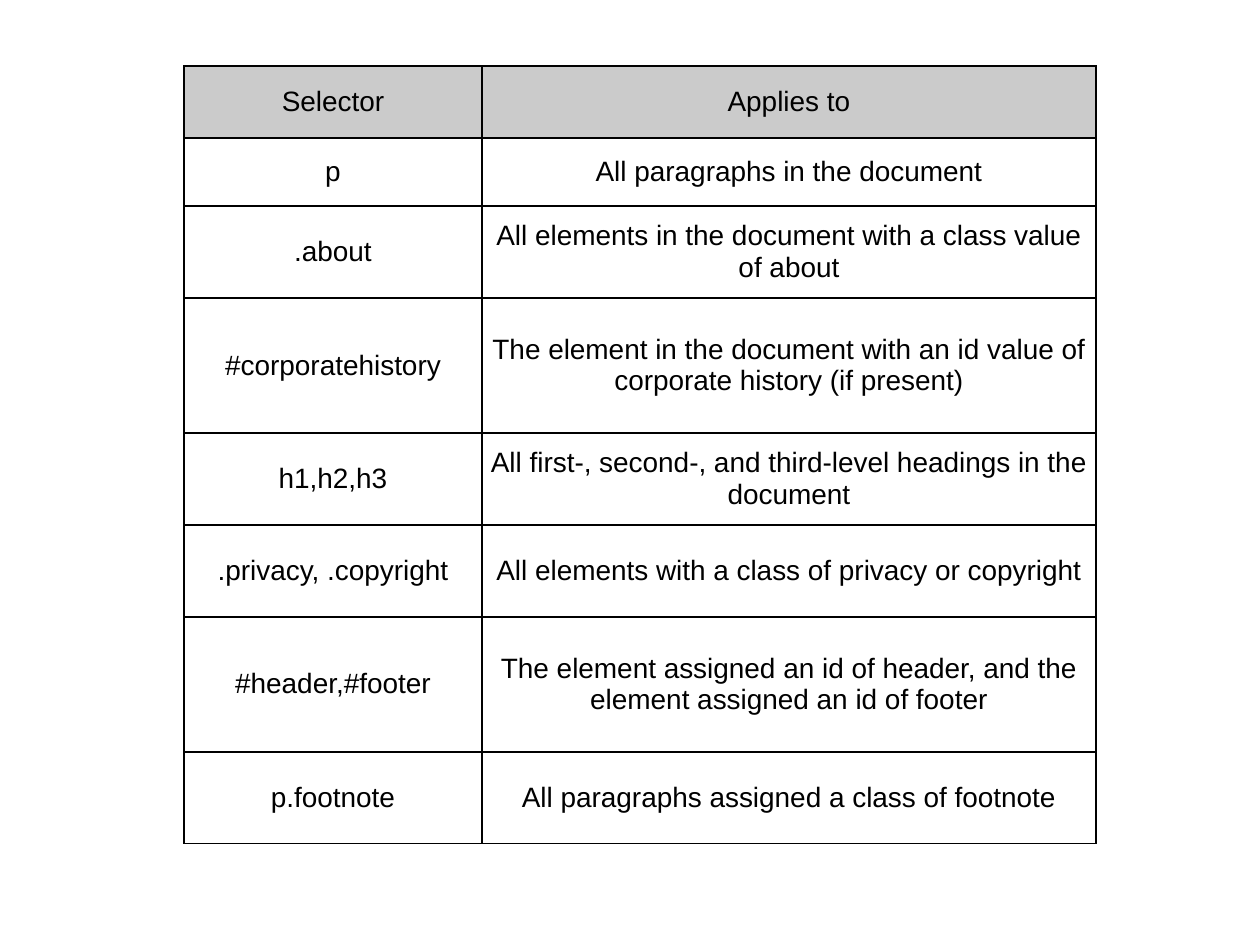
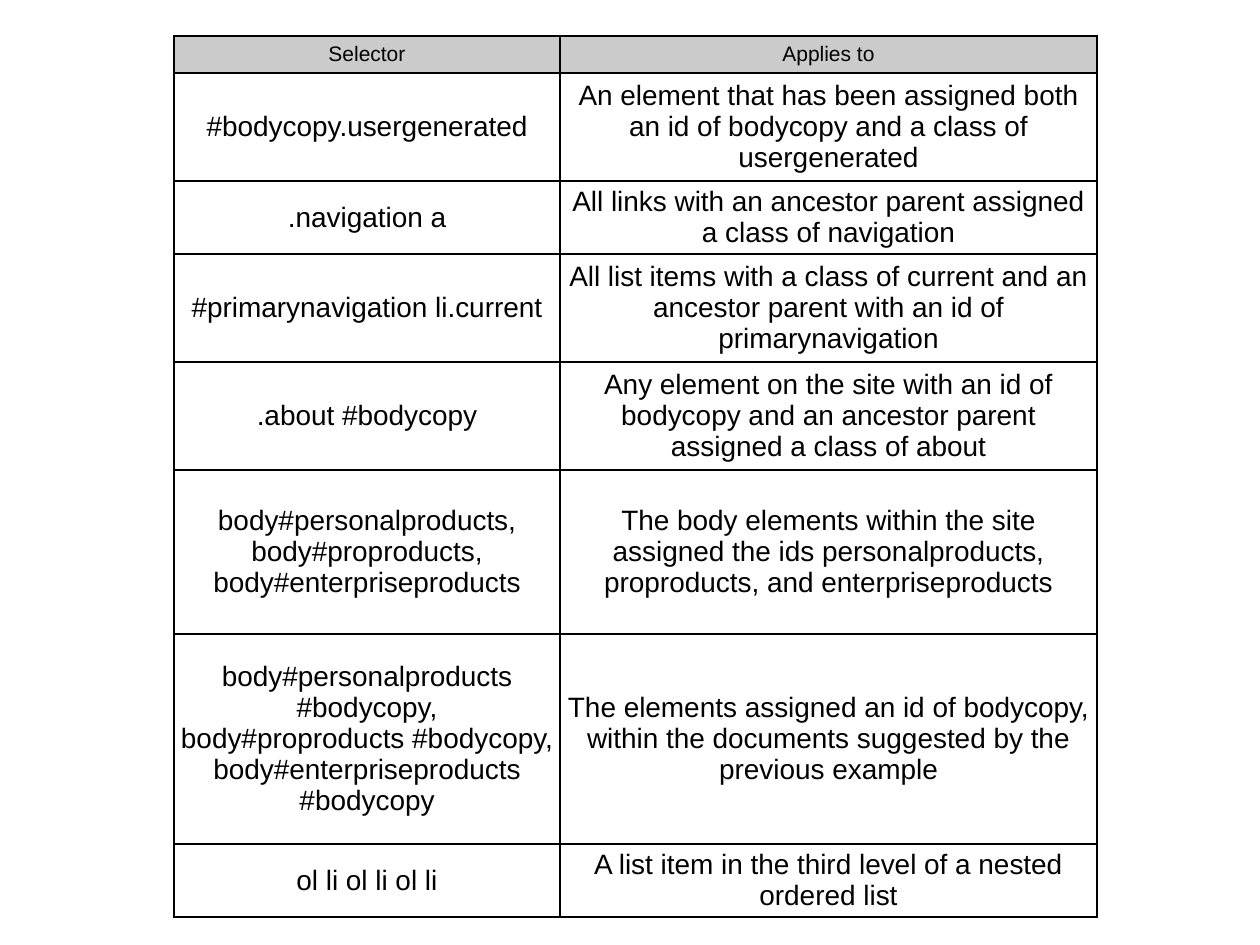
import dataclasses

import lxml.etree
import pptx
import pptx.dml.color
import pptx.enum.text
import pptx.oxml.ns
import pptx.presentation
import pptx.table
import pptx.text.text
import pptx.util

PIXELS_PER_INCH = 126
FONT = "Arial"
BLACK = "000000"
HEADER_GREY = "CBCBCB"
BODY_SIZE = 16
CELL_INSET = 2
BORDER_POINTS = 1
HEADINGS = ("Selector", "Applies to")
BLANK_LAYOUT = 6


@dataclasses.dataclass(frozen=True)
class SelectorRow:
    height: int
    selector: str
    applies_to: str


@dataclasses.dataclass(frozen=True)
class SelectorTable:
    left: int
    top: int
    column_widths: tuple[int, int]
    header_height: int
    header_size: int
    rows: tuple[SelectorRow, ...]


SELECTOR_TABLES = (
    SelectorTable(
        left=184,
        top=66,
        column_widths=(298, 614),
        header_height=72,
        header_size=16,
        rows=(
            SelectorRow(68, "p", "All paragraphs in the document"),
            SelectorRow(92, ".about", "All elements in the document with a class value of about"),
            SelectorRow(
                135,
                "#corporatehistory",
                "The element in the document with an id value of corporate history (if present)",
            ),
            SelectorRow(
                92,
                "h1,h2,h3",
                "All first-, second-, and third-level headings in the document",
            ),
            SelectorRow(
                92, ".privacy, .copyright", "All elements with a class of privacy or copyright"
            ),
            SelectorRow(
                135,
                "#header,#footer",
                "The element assigned an id of header, and the element assigned an id of footer",
            ),
            SelectorRow(92, "p.footnote", "All paragraphs assigned a class of footnote"),
        ),
    ),
    SelectorTable(
        left=174,
        top=36,
        column_widths=(386, 537),
        header_height=37,
        header_size=12,
        rows=(
            SelectorRow(
                108,
                "#bodycopy.usergenerated",
                "An element that has been assigned both an id of bodycopy "
                "and a class of usergenerated",
            ),
            SelectorRow(
                73,
                ".navigation a",
                "All links with an ancestor parent assigned a class of navigation",
            ),
            SelectorRow(
                108,
                "#primarynavigation li.current",
                "All list items with a class of current and an ancestor parent "
                "with an id of primarynavigation",
            ),
            SelectorRow(
                108,
                ".about #bodycopy",
                "Any element on the site with an id of bodycopy and an ancestor parent "
                "assigned a class of about",
            ),
            SelectorRow(
                164,
                "body#personalproducts,\nbody#proproducts,\nbody#enterpriseproducts",
                "The body elements within the site assigned the ids personalproducts, "
                "proproducts, and enterpriseproducts",
            ),
            SelectorRow(
                210,
                "body#personalproducts #bodycopy,\nbody#proproducts #bodycopy,\n"
                "body#enterpriseproducts #bodycopy",
                "The elements assigned an id of bodycopy, within the documents "
                "suggested by the previous example",
            ),
            SelectorRow(
                73,
                "ol li ol li ol li",
                "A list item in the third level of a nested ordered list",
            ),
        ),
    ),
)


def px(length: int) -> pptx.util.Emu:
    return pptx.util.Emu(round(length * pptx.util.Inches(1) / PIXELS_PER_INCH))


def color(value: str) -> pptx.dml.color.RGBColor:
    return pptx.dml.color.RGBColor.from_string(value)


def write_text(
    text_frame: pptx.text.text.TextFrame,
    text: str,
    *,
    size: int = BODY_SIZE,
    font: str = FONT,
    fill: str = BLACK,
    alignment: pptx.enum.text.PP_ALIGN = pptx.enum.text.PP_ALIGN.CENTER,
) -> None:
    text_frame.text = text
    for paragraph in text_frame.paragraphs:
        paragraph.alignment = alignment
        for run in paragraph.runs:
            run.font.size = pptx.util.Pt(size)
            run.font.name = font
            run.font.color.rgb = color(fill)


def add_borders(cell: pptx.table._Cell) -> None:
    qualified = pptx.oxml.ns.qn
    properties = cell._tc.get_or_add_tcPr()
    for side in ("lnL", "lnR", "lnT", "lnB"):
        line = lxml.etree.SubElement(
            properties, qualified(f"a:{side}"), w=str(pptx.util.Pt(BORDER_POINTS))
        )
        solid = lxml.etree.SubElement(line, qualified("a:solidFill"))
        lxml.etree.SubElement(solid, qualified("a:srgbClr"), val=BLACK)


def format_cell(cell: pptx.table._Cell, text: str, size: int, fill: str | None) -> None:
    cell.margin_left = cell.margin_right = px(CELL_INSET)
    cell.margin_top = cell.margin_bottom = px(CELL_INSET)
    cell.vertical_anchor = pptx.enum.text.MSO_ANCHOR.MIDDLE
    add_borders(cell)
    if fill is None:
        cell.fill.background()
    else:
        cell.fill.solid()
        cell.fill.fore_color.rgb = color(fill)
    write_text(cell.text_frame, text, size=size)


def add_selector_slide(
    presentation: pptx.presentation.Presentation, content: SelectorTable
) -> None:
    slide = presentation.slides.add_slide(presentation.slide_layouts[BLANK_LAYOUT])
    rows = (SelectorRow(content.header_height, *HEADINGS), *content.rows)
    shape = slide.shapes.add_table(
        len(rows),
        len(HEADINGS),
        px(content.left),
        px(content.top),
        px(sum(content.column_widths)),
        px(sum(row.height for row in rows)),
    )
    table = shape.table
    table.first_row = table.horz_banding = False
    for column, width in zip(table.columns, content.column_widths):
        column.width = px(width)
    for row_index, row in enumerate(rows):
        table.rows[row_index].height = px(row.height)
        is_header = row_index == 0
        size = content.header_size if is_header else BODY_SIZE
        fill = HEADER_GREY if is_header else None
        for column_index, text in enumerate((row.selector, row.applies_to)):
            format_cell(table.cell(row_index, column_index), text, size, fill)


def main() -> None:
    presentation = pptx.Presentation()
    presentation.slide_width = pptx.util.Inches(10)
    presentation.slide_height = pptx.util.Inches(7.5)
    for content in SELECTOR_TABLES:
        add_selector_slide(presentation, content)
    presentation.save("out.pptx")


if __name__ == "__main__":
    main()
